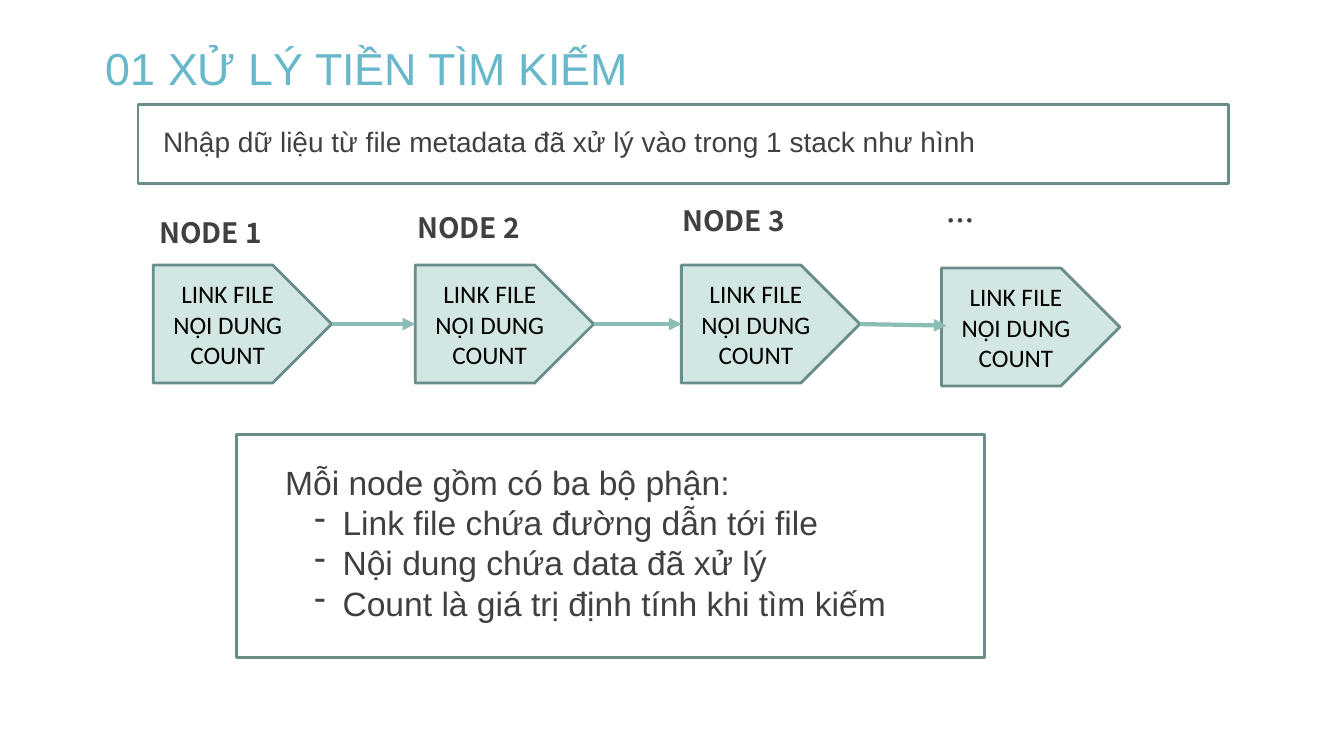
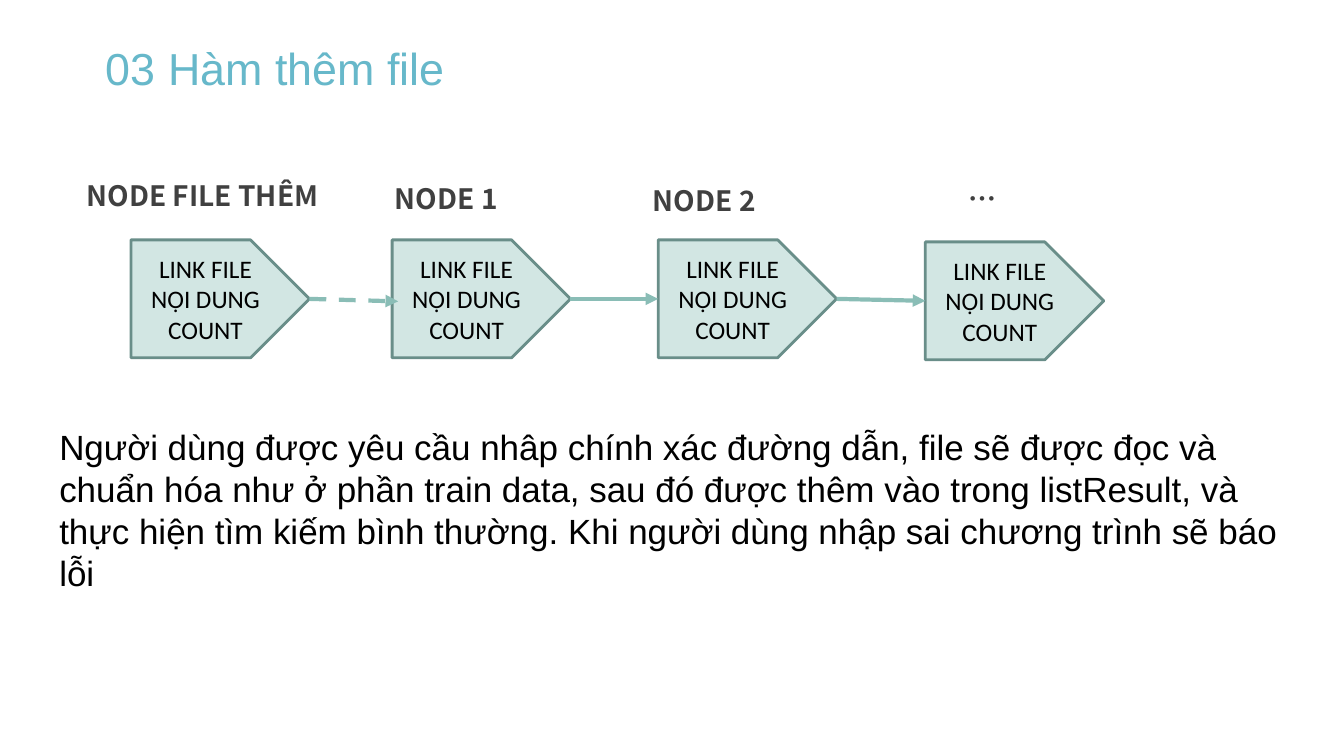
import dataclasses
from typing import Optional

import pptx
import pptx.dml.color
import pptx.enum.dml
import pptx.enum.shapes
import pptx.enum.text
import pptx.oxml
import pptx.oxml.ns
import pptx.util

COLUMNS, ROWS = 80, 45
SLIDE_WIDTH = pptx.util.Inches(13.33)
SLIDE_HEIGHT = pptx.util.Inches(7.5)
TITLE_COLOUR, TEXT_COLOUR, BLACK = "67B8CA", "404040", "000000"
NODE_FILL, OUTLINE, ARROW_COLOUR = "D2E6E3", "698E89", "8ABDB6"
BODY_FONT, NODE_FONT, LABEL_FONT = "Arial", "Calibri", "Noto Sans CJK SC"
NODE_WIDTH, NODE_HEIGHT = 10.62, 7.02
LABEL_WIDTH, LABEL_HEIGHT = 8.34, 2.64
NODE_PARTS = "LINK FILE\nNỘI DUNG\nCOUNT"
LEFT_SIDE, RIGHT_SIDE = 1, 3
SHAPES = pptx.enum.shapes.MSO_SHAPE
ALIGN = pptx.enum.text.PP_ALIGN
ANCHOR = pptx.enum.text.MSO_ANCHOR


@dataclasses.dataclass
class Area:
    column: float
    row: float
    columns: float
    rows: float

    def emu(self) -> tuple:
        return across(self.column), down(self.row), across(self.columns), down(self.rows)


@dataclasses.dataclass
class Node:
    label: str
    column: float
    row: float
    label_column: float
    label_row: float
    label_width: float = LABEL_WIDTH
    arrow_tip: Optional[tuple] = None
    dashed: bool = False


def across(columns: float) -> int:
    return round(SLIDE_WIDTH * columns / COLUMNS)


def down(rows: float) -> int:
    return round(SLIDE_HEIGHT * rows / ROWS)


def colour(hex_value: str) -> pptx.dml.color.RGBColor:
    return pptx.dml.color.RGBColor.from_string(hex_value)


def add_dash_bullet(paragraph) -> None:
    properties = paragraph._p.get_or_add_pPr()
    properties.set("marL", str(pptx.util.Inches(0.57)))
    properties.set("indent", str(-pptx.util.Inches(0.28)))
    bullet = pptx.oxml.parse_xml(f'<a:buChar {pptx.oxml.ns.nsdecls("a")} char="-"/>')
    properties.append(bullet)


def write(frame, text: str, *, size: float, font: str = BODY_FONT, ink: str = TEXT_COLOUR,
          bold: bool = False, align=ALIGN.LEFT, anchor=ANCHOR.TOP,
          bullets_from: Optional[int] = None, inset: Optional[float] = None) -> None:
    frame.word_wrap = True
    frame.vertical_anchor = anchor
    if inset is not None:
        frame.margin_left = frame.margin_right = pptx.util.Inches(inset)
        frame.margin_top = frame.margin_bottom = pptx.util.Inches(inset)
    for index, line in enumerate(text.split("\n")):
        paragraph = frame.add_paragraph() if index else frame.paragraphs[0]
        paragraph.alignment = align
        if bullets_from is not None and index >= bullets_from:
            add_dash_bullet(paragraph)
        run = paragraph.add_run()
        run.text = line
        run.font.name = font
        run.font.size = pptx.util.Pt(size)
        run.font.bold = bold
        run.font.color.rgb = colour(ink)


def add_text(slide, area: Area, text: str, **style) -> None:
    write(slide.shapes.add_textbox(*area.emu()).text_frame, text, **style)


def add_outlined(slide, kind, area: Area, fill: Optional[str] = None):
    shape = slide.shapes.add_shape(kind, *area.emu())
    shape.shadow.inherit = False
    if fill:
        shape.fill.solid()
        shape.fill.fore_color.rgb = colour(fill)
    else:
        shape.fill.background()
    shape.line.color.rgb = colour(OUTLINE)
    shape.line.width = pptx.util.Pt(2)
    return shape


def add_arrow(slide, start, end, tip: Optional[tuple], dashed: bool) -> None:
    column, row = tip or (0, 0)
    arrow = slide.shapes.add_connector(
        pptx.enum.shapes.MSO_CONNECTOR.STRAIGHT, 0, 0, across(column), down(row))
    arrow.begin_connect(start, RIGHT_SIDE)
    if tip is None:
        arrow.end_connect(end, LEFT_SIDE)
    arrow.line.color.rgb = colour(ARROW_COLOUR)
    arrow.line.width = pptx.util.Pt(3)
    if dashed:
        arrow.line.dash_style = pptx.enum.dml.MSO_LINE.DASH
    namespace = pptx.oxml.ns.nsdecls("a")
    arrow.line._get_or_add_ln().append(
        pptx.oxml.parse_xml(f'<a:tailEnd {namespace} type="triangle"/>'))
    arrow._element.spPr.append(pptx.oxml.parse_xml(f"<a:effectLst {namespace}/>"))


def add_chain(slide, nodes: list[Node]) -> None:
    plates = []
    for node in nodes:
        plate = add_outlined(slide, SHAPES.PENTAGON,
                             Area(node.column, node.row, NODE_WIDTH, NODE_HEIGHT), NODE_FILL)
        write(plate.text_frame, NODE_PARTS, size=18, font=NODE_FONT, ink=BLACK,
              align=ALIGN.CENTER, anchor=ANCHOR.MIDDLE)
        add_text(slide, Area(node.label_column, node.label_row, node.label_width, LABEL_HEIGHT),
                 node.label, size=20, font=LABEL_FONT, bold=True)
        plates.append(plate)
    for node, start, end in zip(nodes, plates, plates[1:]):
        add_arrow(slide, start, end, node.arrow_tip, node.dashed)


def add_titled_slide(deck, title: str):
    slide = deck.slides.add_slide(deck.slide_layouts[6])
    add_text(slide, Area(6.3, 2.4, 35.46, 3.24), title, size=32, ink=TITLE_COLOUR, inset=0)
    return slide


def build_preprocessing(deck) -> None:
    slide = add_titled_slide(deck, "01 XỬ LÝ TIỀN TÌM KIẾM")
    add_chain(slide, [
        Node("NODE 1", 9.12, 15.78, 8.88, 12.54),
        Node("NODE 2", 24.72, 15.78, 24.24, 12.24),
        Node("NODE 3", 40.56, 15.78, 40.02, 11.82, arrow_tip=(56.34, 19.38)),
        Node("…", 56.04, 15.96, 55.74, 11.82, label_width=2.82),
    ])
    add_outlined(slide, SHAPES.RECTANGLE, Area(14.1, 25.86, 44.52, 13.26))
    add_text(slide, Area(16.38, 27.18, 39, 10.32),
             "Mỗi node gồm có ba bộ phận:\n"
             "Link file chứa đường dẫn tới file\n"
             "Nội dung chứa data đã xử lý\n"
             "Count là giá trị định tính khi tìm kiếm",
             size=24, bullets_from=1)
    add_outlined(slide, SHAPES.RECTANGLE, Area(8.22, 6.24, 64.92, 4.68))
    add_text(slide, Area(9.12, 7.14, 51, 2.64),
             "Nhập dữ liệu từ file metadata đã xử lý vào trong 1 stack như hình", size=20)


def build_adding_file(deck) -> None:
    slide = add_titled_slide(deck, "03 Hàm thêm file")
    add_chain(slide, [
        Node("NODE FILE THÊM", 7.8, 14.28, 4.56, 10.32, label_width=16.32,
             arrow_tip=(23.7, 17.94), dashed=True),
        Node("NODE 1", 23.34, 14.28, 22.92, 10.5),
        Node("NODE 2", 39.18, 14.28, 38.28, 10.62),
        Node("…", 55.08, 14.4, 57.06, 10.5, label_width=2.82),
    ])
    add_text(slide, Area(2.94, 25.02, 74.58, 13.2),
             "Người dùng được yêu cầu nhâp chính xác đường dẫn, file sẽ được đọc và "
             "chuẩn hóa như ở phần train data, sau đó được thêm vào trong listResult, "
             "và thực hiện tìm kiếm bình thường. Khi người dùng nhập sai chương trình "
             "sẽ báo lỗi", size=25, ink=BLACK)


def main() -> None:
    deck = pptx.Presentation()
    deck.slide_width, deck.slide_height = SLIDE_WIDTH, SLIDE_HEIGHT
    build_preprocessing(deck)
    build_adding_file(deck)
    deck.save("out.pptx")


if __name__ == "__main__":
    main()
